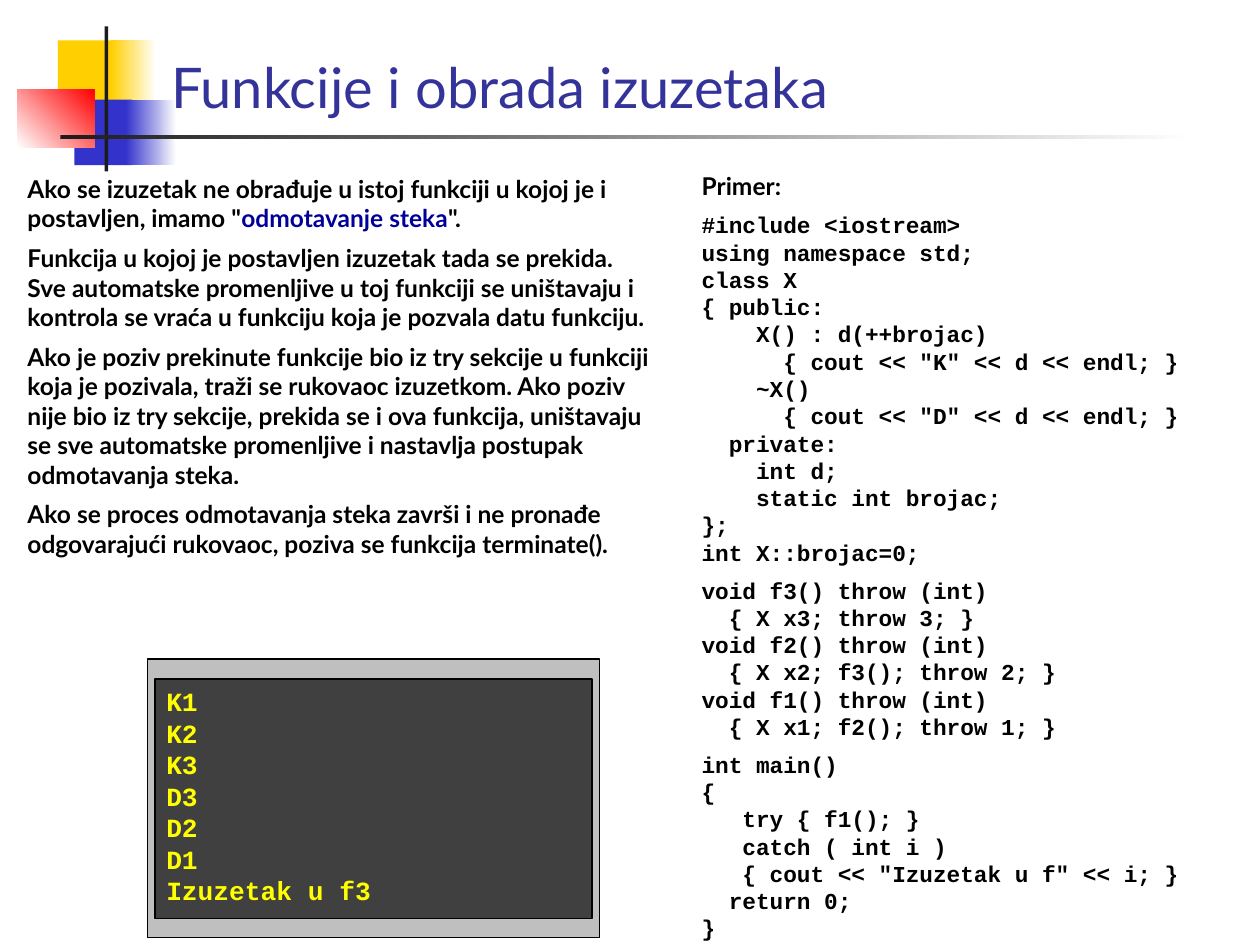
from pptx import Presentation
from pptx.dml.color import RGBColor
from pptx.enum.shapes import MSO_SHAPE
from pptx.enum.text import MSO_ANCHOR
from pptx.util import Inches, Pt

RECT = MSO_SHAPE.RECTANGLE
TOP, BOTTOM = MSO_ANCHOR.TOP, MSO_ANCHOR.BOTTOM
BODY_FONT, CODE_FONT = "Lato", "Courier New"
GOLD, BLUE, RED, WHITE, DARK = "FFCF01", "3333CC", "FF0000", "FFFFFF", "1C1C1C"

EXPLANATION = [
    [("Ako se izuzetak ne obrađuje u istoj funkciji u kojoj je i postavljen, imamo \"", "000000"),
     ("odmotavanje steka", "000099"), ("\".", "000000")],
    [("Funkcija u kojoj je postavljen izuzetak tada se prekida. Sve automatske promenljive "
      "u toj funkciji se uništavaju i kontrola se vraća u funkciju koja je pozvala datu "
      "funkciju.", "000000")],
    [("Ako je poziv prekinute funkcije bio iz try sekcije u funkciji koja je pozivala, traži "
      "se rukovaoc izuzetkom. Ako poziv nije bio iz try sekcije, prekida se i ova funkcija, "
      "uništavaju se sve automatske promenljive i nastavlja postupak odmotavanja steka.",
      "000000")],
    [("Ako se proces odmotavanja steka završi i ne pronađe odgovarajući rukovaoc, poziva se "
      "funkcija terminate().", "000000")],
]

# Blocks of code, set apart by paragraph spacing
CODE_BLOCKS = [
    """#include <iostream>
using namespace std;
class X
{ public:
    X() : d(++brojac)
      { cout << "K" << d << endl; }
    ~X()
      { cout << "D" << d << endl; }
  private:
    int d;
    static int brojac;
};
int X::brojac=0;""",
    """void f3() throw (int)
  { X x3; throw 3; }
void f2() throw (int)
  { X x2; f3(); throw 2; }
void f1() throw (int)
  { X x1; f2(); throw 1; }""",
    """int main()
{
   try { f1(); }
   catch ( int i )
   { cout << "Izuzetak u f" << i; }
  return 0;
}""",
]
OUTPUT = ["K1", "K2", "K3", "D3", "D2", "D1", "Izuzetak u f3"]


def rgb(value):
    return RGBColor.from_string(value)


def add_rect(s, x, y, w, h, color, fade_to=None, angle=0, outlined=False):
    sp = s.shapes.add_shape(RECT, Inches(x), Inches(y), Inches(w), Inches(h))
    sp.shadow.inherit = False
    if fade_to:
        sp.fill.gradient()
        sp.fill.gradient_angle = angle
        for stop, value in zip(sp.fill.gradient_stops, (color, fade_to)):
            stop.color.rgb = rgb(value)
    else:
        sp.fill.solid()
        sp.fill.fore_color.rgb = rgb(color)
    if outlined:
        sp.line.color.rgb = rgb("000000")
        sp.line.width = Pt(0)
    else:
        sp.line.fill.background()


def add_text_frame(s, x, y, w, h, anchor=TOP):
    tf = s.shapes.add_textbox(Inches(x), Inches(y), Inches(w), Inches(h)).text_frame
    tf.word_wrap = True
    tf.vertical_anchor = anchor
    return tf


def add_line(tf, runs, size, font=BODY_FONT, bold=True, before=0, pitch=None):
    """Fill the frame's empty first paragraph, or append a new one."""
    p = tf.paragraphs[0] if not tf.paragraphs[0].runs else tf.add_paragraph()
    p.font.size, p.font.name, p.font.bold = Pt(size), font, bold
    p.space_before = Pt(before)
    if pitch:
        p.line_spacing = Pt(pitch)
    for text, color in runs:
        r = p.add_run()
        r.text = text
        r.font.color.rgb = rgb(color)


def add_ornament(s, x, y):
    # Coloured squares fading out
    add_rect(s, x + 0.32, y + 0.11, 0.48, 0.52, GOLD)
    add_rect(s, x + 0.74, y + 0.11, 0.36, 0.52, GOLD, WHITE)
    add_rect(s, x + 0.45, y + 0.58, 0.46, 0.52, BLUE)
    add_rect(s, x + 0.86, y + 0.58, 0.4, 0.52, BLUE, WHITE)
    add_rect(s, x, y + 0.5, 0.61, 0.46, WHITE, RED, angle=45)
    # Crossing bars
    add_rect(s, x + 0.69, y, 0.03, 1.15, DARK)
    add_rect(s, x + 0.34, y + 0.86, 9, 0.03, DARK, WHITE)


def add_title(s, x, y, w, h):
    tf = add_text_frame(s, x, y, w, h, BOTTOM)
    add_line(tf, [("Funkcije i obrada izuzetaka", "333399")], 32, bold=False)


def add_explanation(s, x, y, w, h):
    tf = add_text_frame(s, x, y, w, h)
    for i, runs in enumerate(EXPLANATION):
        add_line(tf, runs, 14, before=6 if i else 0)


def add_code(s, x, y, w, h):
    tf = add_text_frame(s, x, y, w, h)
    add_line(tf, [("Primer:", "000000")], 14)
    for block in CODE_BLOCKS:
        for i, line in enumerate(block.splitlines()):
            add_line(tf, [(line, "000000")], 13, CODE_FONT, before=0 if i else 6, pitch=15.6)


def add_console(s, x, y, w, h):
    # Frame and screen
    add_rect(s, x, y, w, h, "BFBFBF", outlined=True)
    add_rect(s, x + 0.06, y + 0.16, w - 0.12, h - 0.31, "404040", outlined=True)
    # Program output
    tf = add_text_frame(s, x + 0.15, y + 0.16, w - 0.46, h - 0.34)
    tf.margin_left = tf.margin_right = 0
    for line in OUTPUT:
        add_line(tf, [(line, "FFFF00")], 15, CODE_FONT, pitch=18)


def main():
    prs = Presentation()
    prs.slide_width, prs.slide_height = Inches(10), Inches(7.5)
    s = prs.slides.add_slide(prs.slide_layouts[6])
    add_ornament(s, 0.14, 0.21)
    add_title(s, 1.26, 0.13, 8.74, 0.87)
    add_explanation(s, 0.12, 1.33, 5.2, 4.22)
    add_code(s, 5.47, 1.31, 4.45, 6.17)
    add_console(s, 1.17, 5.23, 3.59, 2.21)
    prs.save("out.pptx")


if __name__ == "__main__":
    main()
